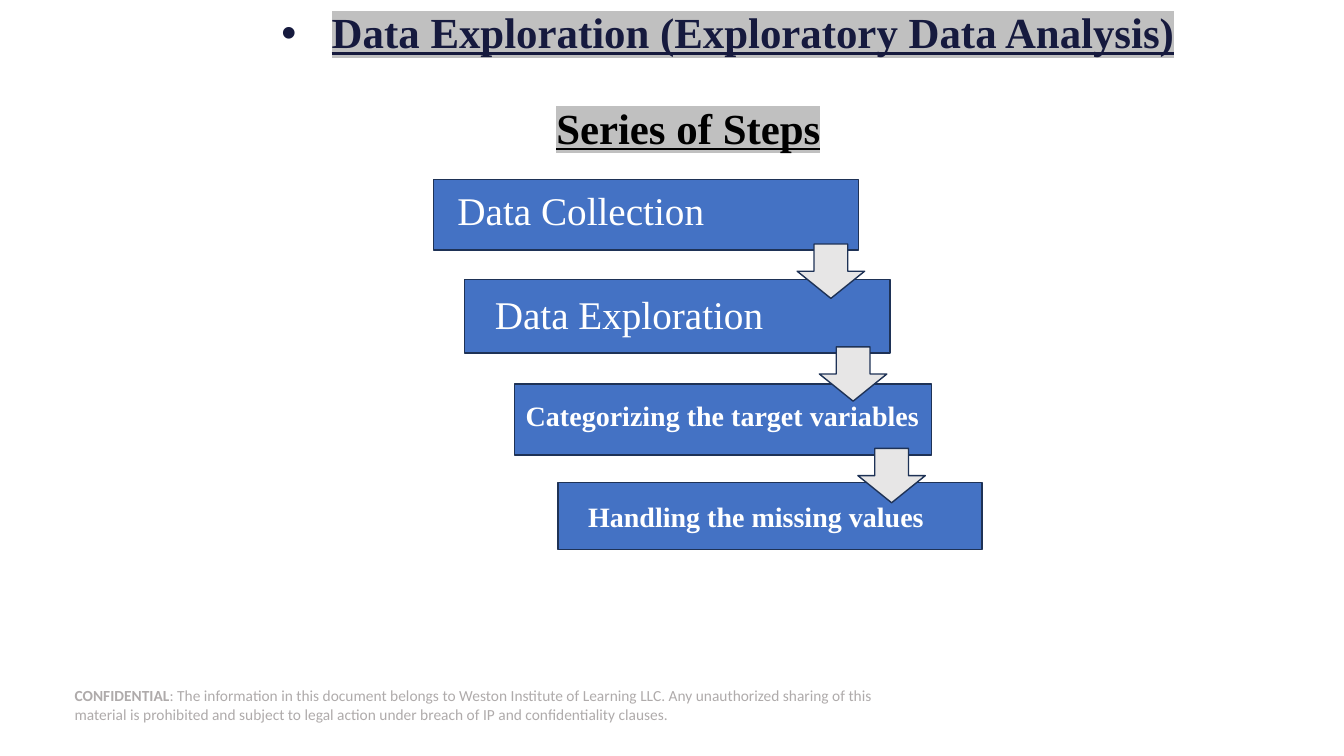
from lxml.etree import SubElement
from pptx import Presentation
from pptx.dml.color import RGBColor
from pptx.enum.shapes import MSO_SHAPE
from pptx.enum.text import MSO_ANCHOR, MSO_AUTO_SIZE, PP_ALIGN
from pptx.oxml import parse_xml
from pptx.oxml.ns import nsdecls, qn
from pptx.util import Cm, Pt

COLORS = {
    "white": "FFFFFF",
    "black": "000000",
    "navy": "161A3E",
    "highlight": "C0C0C0",
    "bar": "4472C4",
    "outline": "1E3256",
    "arrow": "E7E6E6",
    "footer": "AFABAB",
}
SERIF = "Times New Roman"


def add_span(para, text, size, color, font=SERIF, bold=False):
    span = para.add_run()
    span.text = text
    span.font.size = Pt(size)
    span.font.name = font
    span.font.bold = bold
    span.font.color.rgb = RGBColor.from_string(COLORS[color])
    return span


def add_figure(kind, left, top, width, height, fill, line=None):
    figure = page.shapes.add_shape(kind, Cm(left), Cm(top), Cm(width), Cm(height))
    figure.shadow.inherit = False
    figure.fill.solid()
    figure.fill.fore_color.rgb = RGBColor.from_string(COLORS[fill])
    if line:
        figure.line.color.rgb = RGBColor.from_string(COLORS[line])
        figure.line.width = Pt(1)
    else:
        figure.line.fill.background()
    return figure


deck = Presentation()
deck.slide_width, deck.slide_height = Cm(33.87), Cm(19.05)
page = deck.slides.add_slide(deck.slide_layouts[5])

# Confidentiality notice
notice = add_figure(MSO_SHAPE.RECTANGLE, 1.88, 17.25, 20.75, 1.02, "white")
frame = notice.text_frame
frame.word_wrap = True
frame.vertical_anchor = MSO_ANCHOR.MIDDLE
frame.margin_left = frame.margin_right = frame.margin_top = frame.margin_bottom = 0
para = frame.paragraphs[0]
para.alignment = PP_ALIGN.LEFT
add_span(para, "CONFIDENTIAL", 11, "footer", "Calibri", True)
add_span(
    para,
    ": The information in this document belongs to Weston Institute of Learning LLC. "
    "Any unauthorized sharing of this material is prohibited and subject to legal "
    "action under breach of IP and confidentiality clauses.",
    11, "footer", "Calibri",
)

# Title: a bulleted heading and an indented subheading
title = page.shapes.title
title.left, title.top, title.width, title.height = Cm(7.09), Cm(0.34), Cm(26), Cm(3.48)
frame = title.text_frame
frame.word_wrap = True
frame.auto_size = MSO_AUTO_SIZE.NONE
frame.vertical_anchor = MSO_ANCHOR.MIDDLE
frame.margin_left = frame.margin_right = frame.margin_top = frame.margin_bottom = 0
headings = [
    ("Data Exploration (Exploratory Data Analysis)", "navy", 1.27, -1.27, 0, "•"),
    ("Series of Steps", "black", 6.93, 0, 35, None),
]
for number, (text, color, margin, indent, gap, bullet) in enumerate(headings):
    para = frame.add_paragraph() if number else frame.paragraphs[0]
    para.alignment = PP_ALIGN.LEFT
    para.line_spacing = 0.9
    para.space_before = Pt(gap)
    properties = para._p.get_or_add_pPr()
    properties.set("marL", str(Cm(margin)))
    properties.set("indent", str(Cm(indent)))
    if bullet:
        SubElement(properties, qn("a:buFont"), typeface="Arial")
        SubElement(properties, qn("a:buChar"), char=bullet)
    else:
        SubElement(properties, qn("a:buNone"))
    span = add_span(para, text, 30.6, color, bold=True)
    span.font.underline = True
    span._r.rPr.find(qn("a:solidFill")).addnext(parse_xml(
        f'<a:highlight {nsdecls("a")}><a:srgbClr val="{COLORS["highlight"]}"/></a:highlight>'
    ))

# Step bars: left, top, width, height, thickness
bars = [
    (8.99, 1.63, 14.58, 7.57, 0.235),
    (9.78, 4.04, 14.58, 7.87, 0.235),
    (11.07, 6.65, 14.3, 7.85, 0.228),
    (12.14, 9.42, 14.53, 7.16, 0.235),
]
for left, top, width, height, thickness in bars:
    bar = add_figure(MSO_SHAPE.MATH_MINUS, left, top, width, height, "bar", "outline")
    bar.adjustments[0] = thickness

# Arrows from each step to the next
for left, top in [(20.09, 6.15), (20.65, 8.74), (21.62, 11.3)]:
    add_figure(MSO_SHAPE.DOWN_ARROW, left, top, 1.7, 1.37, "arrow", "outline")

# Step labels
labels = [
    ("Data Collection", 11.28, 4.57, 9.88, 1.45, 28, False, PP_ALIGN.LEFT),
    ("Data Exploration", 12.22, 7.19, 8.43, 1.45, 28, False, PP_ALIGN.LEFT),
    ("Categorizing the target variables", 13, 9.91, 13.67, 1.12, 20, True, PP_ALIGN.LEFT),
    ("Handling the missing values", 12.22, 12.45, 13.67, 1.12, 20, True, PP_ALIGN.CENTER),
]
for text, left, top, width, height, size, bold, alignment in labels:
    box = page.shapes.add_textbox(Cm(left), Cm(top), Cm(width), Cm(height))
    box.text_frame.word_wrap = True
    box.text_frame.auto_size = MSO_AUTO_SIZE.SHAPE_TO_FIT_TEXT
    para = box.text_frame.paragraphs[0]
    para.alignment = alignment
    add_span(para, text, size, "white", bold=bold)

deck.save("out.pptx")
